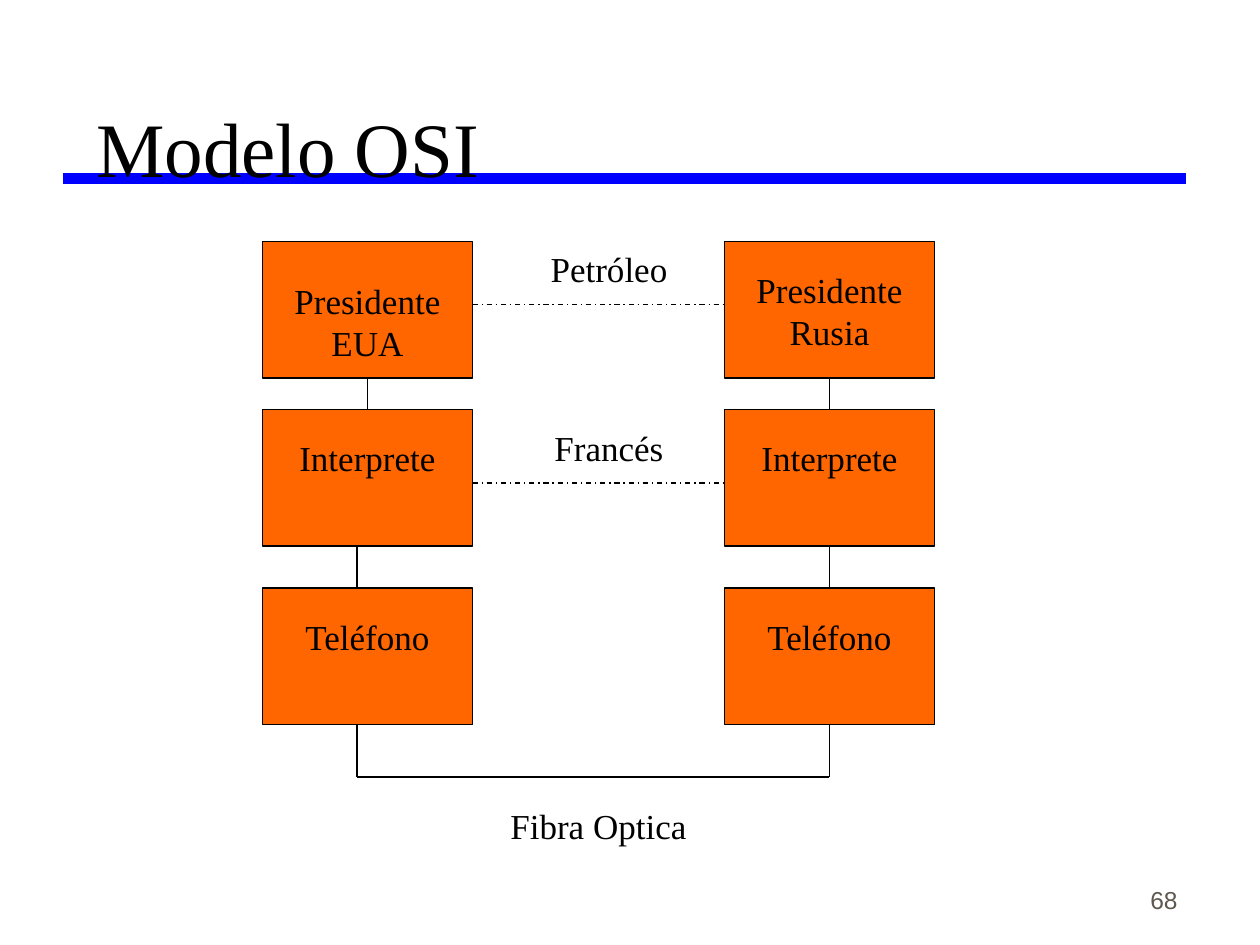
from dataclasses import dataclass

from lxml.etree import SubElement
from pptx import Presentation
from pptx.dml.color import RGBColor
from pptx.enum.dml import MSO_LINE
from pptx.enum.shapes import MSO_CONNECTOR, MSO_SHAPE
from pptx.enum.text import MSO_ANCHOR, PP_ALIGN
from pptx.oxml.ns import qn
from pptx.util import Pt


@dataclass(frozen=True)
class Theme:
    ink: RGBColor = RGBColor(0, 0, 0)
    rule: RGBColor = RGBColor(0, 0, 255)
    box: RGBColor = RGBColor(255, 102, 0)
    muted: RGBColor = RGBColor(0x5E, 0x57, 0x4E)
    serif: str = "Times New Roman"
    sans: str = "Arial"
    title: int = 44
    label: int = 20
    number: int = 14
    rule_width: float = 6
    line_width: float = 0.75


THEME = Theme()


def add_text(slide, box, text, size=THEME.label, font=THEME.serif,
             color=THEME.ink, align=PP_ALIGN.CENTER, anchor=MSO_ANCHOR.TOP):
    tf = slide.shapes.add_textbox(*map(Pt, box)).text_frame
    tf.word_wrap = True
    tf.vertical_anchor = anchor
    p = tf.paragraphs[0]
    p.text = text
    p.alignment = align
    p.font.size = Pt(size)
    p.font.name = font
    p.font.color.rgb = color


def add_line(slide, x1, y1, x2, y2, color=THEME.ink, width=THEME.line_width,
             dash=None):
    line = slide.shapes.add_connector(MSO_CONNECTOR.STRAIGHT,
                                      *map(Pt, (x1, y1, x2, y2)))
    line.line.color.rgb = color
    line.line.width = Pt(width)
    if dash:
        line.line.dash_style = dash
    SubElement(line._element.spPr, qn("a:effectLst"))


def add_header(slide, x, y, w, h):
    # Rule under the title, then the title over it
    add_line(slide, x, y + h - 12, x + w, y + h - 12, THEME.rule,
             THEME.rule_width)
    add_text(slide, (x + 12, y, w - 30, h), "Modelo OSI", THEME.title,
             align=PP_ALIGN.LEFT, anchor=MSO_ANCHOR.BOTTOM)


def add_layer(slide, x, y, w, h, text, drop):
    sp = slide.shapes.add_shape(MSO_SHAPE.RECTANGLE, *map(Pt, (x, y, w, h)))
    sp.shadow.inherit = False
    sp.fill.solid()
    sp.fill.fore_color.rgb = THEME.box
    sp.line.color.rgb = THEME.ink
    sp.line.width = Pt(THEME.line_width)
    lines = 2 if " " in text else 1
    add_text(slide, (x + 6, y + drop, w - 12, 7 + 24 * lines), text)


def add_stacks(slide, x, y, w, h):
    box_w, box_h = 120, 78
    tops = [y, y + 96, y + 198]
    right = x + w - box_w
    cable_y = y + h - 43

    # Layers of both ends: text and its drop from the top of the box
    stacks = [
        (x, [("Presidente EUA", 18), ("Interprete", 12), ("Teléfono", 12)]),
        (right, [("Presidente Rusia", 12), ("Interprete", 12),
                 ("Teléfono", 12)]),
    ]
    for left, layers in stacks:
        for top, (text, drop) in zip(tops, layers):
            add_layer(slide, left, top, box_w, box_h, text, drop)

    # Links below each layer, the last one down to the cable
    left_x, right_x = x + 54, right + box_w / 2
    ends = tops[1:] + [cable_y]
    for link_x, top, end in zip((x + 60, left_x, left_x), tops, ends):
        for lx in (link_x, right_x):
            add_line(slide, lx, top + box_h, lx, end)

    # Shared cable
    add_line(slide, left_x, cable_y, right_x, cable_y)
    add_text(slide, (x + 96, cable_y + 12, 192, 31), "Fibra Optica")

    # Virtual links between peers
    peers = [("Petróleo", 138, 0, 120), ("Francés", 144, 102, 108)]
    for text, dx, dy, label_w in peers:
        add_line(slide, x + box_w, y + dy + 36, right, y + dy + 36,
                 dash=MSO_LINE.DASH_DOT)
        add_text(slide, (x + dx, y + dy, label_w, 31), text)


def add_slide_number(slide, x, y, w, h):
    add_text(slide, (x, y, w, h), "68", THEME.number, THEME.sans,
             THEME.muted, PP_ALIGN.RIGHT, MSO_ANCHOR.BOTTOM)


def main():
    prs = Presentation()
    prs.slide_width, prs.slide_height = Pt(720), Pt(540)
    s = prs.slides.add_slide(prs.slide_layouts[6])
    add_header(s, 36, 24, 642, 90)
    add_stacks(s, 150, 138, 384, 349)
    add_slide_number(s, 530, 490, 150, 36)
    prs.save("out.pptx")


if __name__ == "__main__":
    main()
